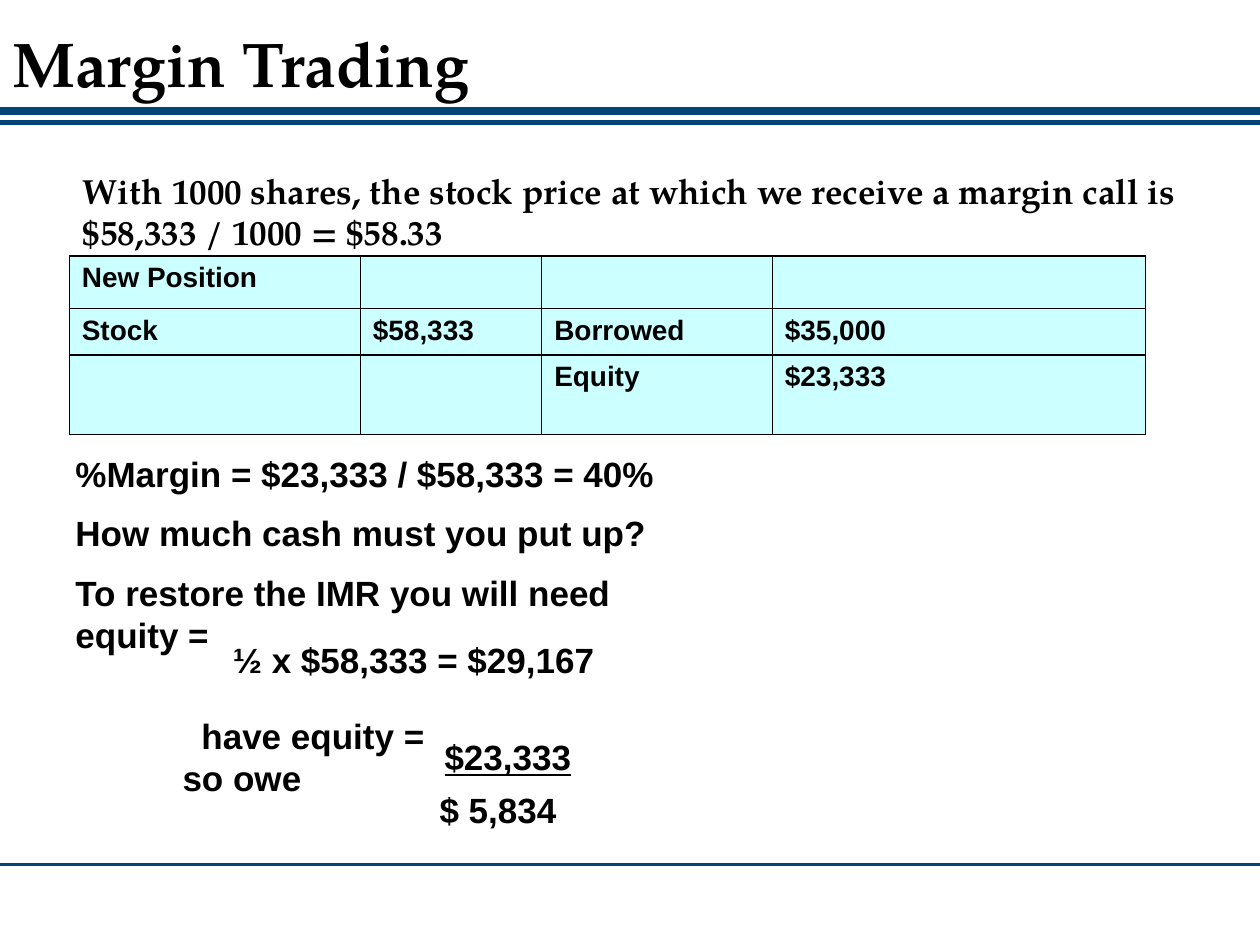
"""Build the Margin Trading slide with its balance table and workings."""
from dataclasses import dataclass, field
from itertools import product

from lxml.etree import SubElement
from pptx import Presentation
from pptx.dml.color import RGBColor
from pptx.enum.shapes import MSO_CONNECTOR
from pptx.enum.text import MSO_ANCHOR
from pptx.oxml.ns import qn
from pptx.util import Inches, Pt


@dataclass(frozen=True)
class Theme:
    ink: str = "000000"
    rule: str = "024476"
    cell: str = "CCFFFF"
    serif: str = "TeX Gyre Pagella"
    sans: str = "Arial"
    title: int = 36
    body: int = 20
    table: int = 16
    border: int = 1


THEME = Theme()


@dataclass(frozen=True)
class Line:
    text: str
    before: float = 0
    indent: float = 0
    spacing: float = 1.0
    font: dict = field(default_factory=dict)


@dataclass(frozen=True)
class TextBlock:
    left: float
    top: float
    width: float
    height: float
    lines: tuple[Line, ...]
    anchor: MSO_ANCHOR = MSO_ANCHOR.TOP


@dataclass(frozen=True)
class Rule:
    left: float
    right: float
    top: float
    weight: float


SERIF = {"name": THEME.serif}
RULES = (Rule(0, 10, 0.88, 4.5), Rule(0, 10, 0.97, 3), Rule(-0.02, 10.02, 6.86, 1.5))
BLOCKS = (
    TextBlock(0, 0, 10, 0.85,
              (Line("Margin Trading", spacing=0.9, font=SERIF | {"size": Pt(THEME.title)}),),
              MSO_ANCHOR.BOTTOM),
    TextBlock(0.56, 1.31, 9.44, 0.75,
              (Line("With 1000 shares, the stock price at which we receive a margin call is "
                    "$58,333 / 1000 = $58.33", spacing=0.98, font=SERIF),)),
    TextBlock(0.5, 3.54, 8.19, 2.96, (
        Line("%Margin = $23,333 / $58,333 = 40%"),
        Line("How much cash must you put up?", before=10),
        Line("To restore the IMR you will need\vequity =", before=10),
        Line("have equity =", before=34, indent=1),
        Line("so owe", indent=0.85),
    )),
    TextBlock(1.75, 5.02, 3.2, 0.44, (Line("½ x $58,333 = $29,167"),)),
    TextBlock(3.43, 5.79, 1.5, 0.44, (Line("$23,333", font={"underline": True}),)),
    TextBlock(3.39, 6.21, 1.5, 0.44, (Line("$ 5,834"),)),
)
COLUMNS = (2.31, 1.44, 1.83, 2.96)
ROWS = (0.42, 0.37, 0.63)
POSITION = (
    ("New Position", "", "", ""),
    ("Stock", "$58,333", "Borrowed", "$35,000"),
    ("", "", "Equity", "$23,333"),
)


def write_line(para, line: Line) -> None:
    """Fill one paragraph with formatted text."""
    para.text = line.text
    layout = {"space_before": Pt(line.before), "line_spacing": line.spacing}
    for name, value in layout.items():
        setattr(para, name, value)
    properties = para._p.get_or_add_pPr()
    properties.set("marL", str(Inches(line.indent)))
    properties.set("indent", "0")
    values = {"name": THEME.sans, "size": Pt(THEME.body), "bold": True} | line.font
    for span in para.runs:
        for name, value in values.items():
            setattr(span.font, name, value)
        span.font.color.rgb = RGBColor.from_string(THEME.ink)


def draw_block(page, block: TextBlock) -> None:
    """Add a text box with its paragraphs."""
    box = page.shapes.add_textbox(
        *map(Inches, (block.left, block.top, block.width, block.height)))
    frame = box.text_frame
    frame.word_wrap = True
    frame.vertical_anchor = block.anchor
    for index, line in enumerate(block.lines):
        write_line(frame.add_paragraph() if index else frame.paragraphs[0], line)


def draw_rule(page, rule: Rule) -> None:
    """Add a horizontal line across the slide."""
    connector = page.shapes.add_connector(
        MSO_CONNECTOR.STRAIGHT, *map(Inches, (rule.left, rule.top, rule.right, rule.top)))
    connector.line.color.rgb = RGBColor.from_string(THEME.rule)
    connector.line.width = Pt(rule.weight)
    SubElement(connector._element.spPr, qn("a:effectLst"))


def style_cell(cell) -> None:
    """Give a table cell its borders and fill."""
    properties = cell._tc.get_or_add_tcPr()
    for side in ("lnL", "lnR", "lnT", "lnB"):
        border = SubElement(properties, qn(f"a:{side}"), w=str(Pt(THEME.border)))
        SubElement(SubElement(border, qn("a:solidFill")), qn("a:srgbClr"), val=THEME.ink)
    cell.fill.solid()
    cell.fill.fore_color.rgb = RGBColor.from_string(THEME.cell)


def draw_position(page) -> None:
    """Add the table of the new position."""
    table = page.shapes.add_table(
        len(ROWS), len(COLUMNS),
        *map(Inches, (0.55, 2.03, sum(COLUMNS), sum(ROWS)))).table
    for column, width in zip(table.columns, COLUMNS):
        column.width = Inches(width)
    for row, height in zip(table.rows, ROWS):
        row.height = Inches(height)
    for row, column in product(range(len(ROWS)), range(len(COLUMNS))):
        cell = table.cell(row, column)
        style_cell(cell)
        write_line(cell.text_frame.paragraphs[0],
                   Line(POSITION[row][column], font={"size": Pt(THEME.table)}))


def main() -> None:
    """Build and save the deck."""
    deck = Presentation()
    deck.slide_width, deck.slide_height = Inches(10), Inches(7.5)
    page = deck.slides.add_slide(deck.slide_layouts[6])
    for rule in RULES:
        draw_rule(page, rule)
    for block in BLOCKS:
        draw_block(page, block)
    draw_position(page)
    deck.save("out.pptx")


if __name__ == "__main__":
    main()
